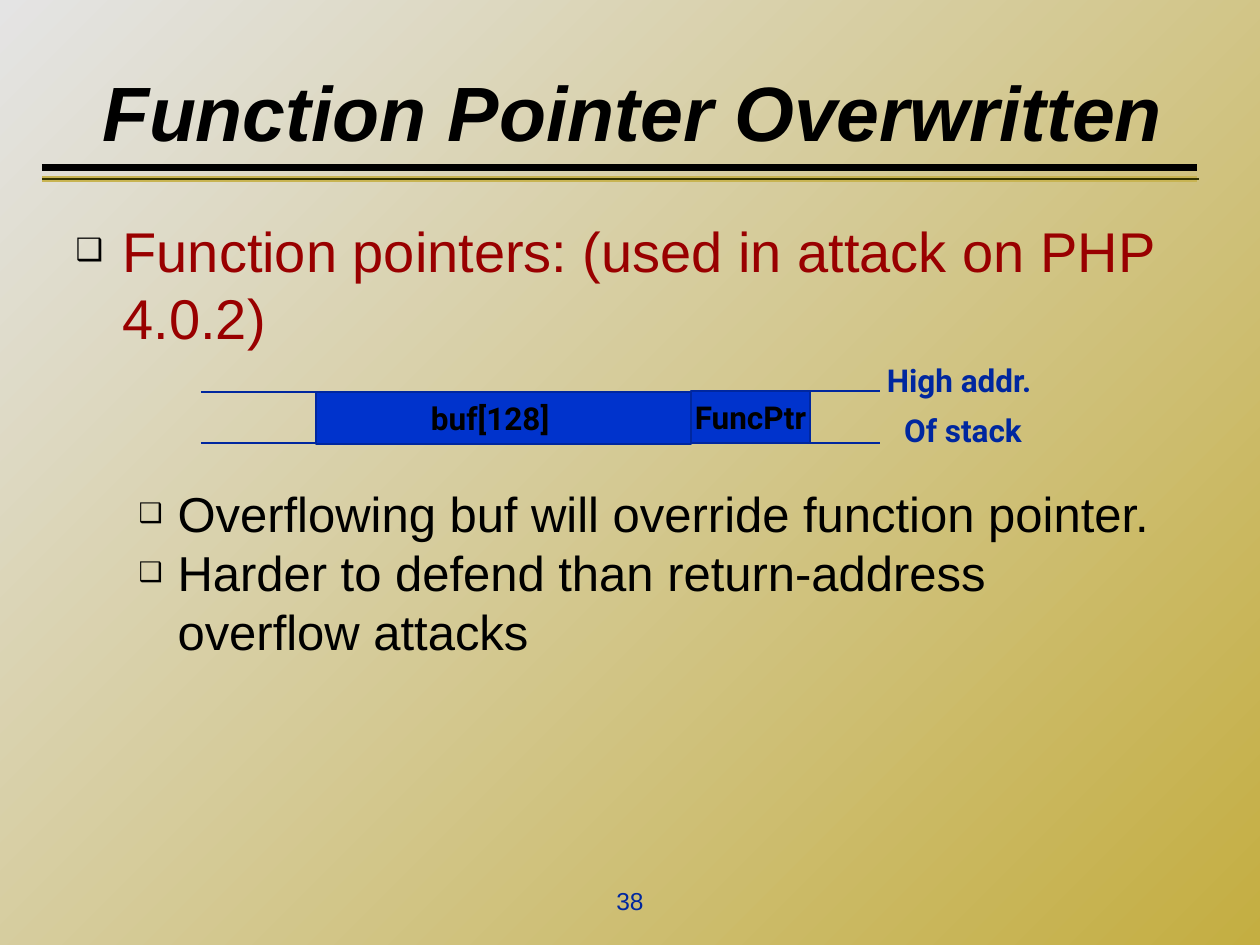
"""Build the slide on overwriting a function pointer."""
import pptx
import pptx.util
import pptx.dml.color
import pptx.enum.shapes
import pptx.enum.text
import pptx.oxml.ns
import lxml.etree

RGBColor = pptx.dml.color.RGBColor
ALIGN = pptx.enum.text.PP_ALIGN
ANCHOR = pptx.enum.text.MSO_ANCHOR
BLACK = RGBColor(0x00, 0x00, 0x00)
SILVER = RGBColor(0xE4, 0xE4, 0xE4)
GOLD = RGBColor(0xC4, 0xAE, 0x42)
RULE_GOLD = RGBColor(0xC8, 0xB4, 0x52)
OLIVE = RGBColor(0x33, 0x33, 0x00)
RED = RGBColor(0x99, 0x00, 0x00)
NAVY = RGBColor(0x00, 0x27, 0x9F)
BLUE = RGBColor(0x00, 0x33, 0xCC)
PX = 914400 // 126


def add_line(left, right, y, color, width):
    line = slide.shapes.add_connector(
        pptx.enum.shapes.MSO_CONNECTOR.STRAIGHT, left * PX, y * PX, right * PX, y * PX)
    line.line.color.rgb = color
    line.line.width = pptx.util.Pt(width)
    lxml.etree.SubElement(line._element.spPr, pptx.oxml.ns.qn("a:effectLst"))


def style(paragraph, name, size, color, bold=False, align=ALIGN.CENTER):
    paragraph.alignment = align
    paragraph.font.name = name
    paragraph.font.size = pptx.util.Pt(size)
    paragraph.font.color.rgb = color
    paragraph.font.bold = bold


presentation = pptx.Presentation()
presentation.slide_width = 1260 * PX
presentation.slide_height = 945 * PX
slide = presentation.slides.add_slide(presentation.slide_layouts[1])

background = slide.background.fill
background.gradient()
background.gradient_angle = 315
for stop, color, position in zip(background.gradient_stops, (SILVER, GOLD), (0, 1)):
    stop.color.rgb = color
    stop.position = position

for left in (102, 42):
    add_line(left, 1197, 179, RULE_GOLD, 3.5)
    add_line(left, 1197, 168, BLACK, 4)
    add_line(left, 1199, 179, OLIVE, 1)

title = slide.shapes.title
title.left, title.top, title.width, title.height = 42 * PX, 73 * PX, 1157 * PX, 95 * PX
frame = title.text_frame
frame.text = "Function Pointer Overwritten"
frame.auto_size = pptx.enum.text.MSO_AUTO_SIZE.NONE
frame.vertical_anchor = ANCHOR.MIDDLE
frame.margin_left, frame.margin_top = 25 * PX, 0
frame.margin_right, frame.margin_bottom = 0, 19 * PX
style(frame.paragraphs[0], "Arial", 44, BLACK, True)
frame.paragraphs[0].font.italic = True

body = slide.placeholders[1]
body.left, body.top, body.width, body.height = 63 * PX, 210 * PX, 1124 * PX, 601 * PX
frame = body.text_frame
frame.auto_size = pptx.enum.text.MSO_AUTO_SIZE.NONE
bullets = [
    ("Function pointers: (used in attack on PHP 4.0.2)", 0, 32, RED, 0, 47, 47),
    ("Overflowing buf will override function pointer.", 1, 28, BLACK, 76, 102, 39),
    ("Harder to defend than return-address overflow attacks", 1, 28, BLACK, 0, 102, 39),
]
for index, (text, level, size, color, before, margin, hanging) in enumerate(bullets):
    paragraph = frame.add_paragraph() if index else frame.paragraphs[0]
    paragraph.text = text
    paragraph.level = level
    paragraph.space_before = pptx.util.Pt(before)
    style(paragraph, "Arial", size, color, align=ALIGN.LEFT)
    properties = paragraph._p.get_or_add_pPr()
    properties.set("marL", str(margin * PX))
    properties.set("indent", str(-hanging * PX))
    bullet = lxml.etree.fromstring(
        '<a:pPr xmlns:a="http://schemas.openxmlformats.org/drawingml/2006/main">'
        '<a:buClr><a:srgbClr val="000000"/></a:buClr>'
        '<a:buSzPct val="55000"/><a:buChar char="❑"/></a:pPr>')
    position = properties.index(properties.find(pptx.oxml.ns.qn("a:defRPr")))
    properties[position:position] = list(bullet)

number = slide.shapes.add_textbox(483 * PX, 880 * PX, 294 * PX, 65 * PX)
number.text_frame.word_wrap = True
number.text_frame.text = "38"
style(number.text_frame.paragraphs[0], "Arial", 14, NAVY)

for left, right, top in ((765, 880, 391), (201, 316, 392)):
    for y in (top, 443):
        add_line(left, right, y, NAVY, 0.75)

label = slide.shapes.add_textbox(864 * PX, 362 * PX, 198 * PX, 93 * PX)
frame = label.text_frame
frame.word_wrap = False
frame.text = "High addr. \nOf stack"
for paragraph in frame.paragraphs:
    style(paragraph, "Roboto", 18, NAVY, True)
    paragraph.line_spacing = 0.8
    paragraph.space_before = pptx.util.Pt(11.2)

cells = [
    ("buf[128]", 316, 392, 375, 115, ALIGN.LEFT),
    ("FuncPtr", 691, 391, 119, 0, ALIGN.CENTER),
]
for text, left, top, width, inset, align in cells:
    cell = slide.shapes.add_shape(
        pptx.enum.shapes.MSO_SHAPE.RECTANGLE, left * PX, top * PX, width * PX, 52 * PX)
    cell.shadow.inherit = False
    cell.fill.solid()
    cell.fill.fore_color.rgb = BLUE
    cell.line.color.rgb = NAVY
    cell.line.width = pptx.util.Pt(0.75)
    frame = cell.text_frame
    frame.text = text
    frame.vertical_anchor = ANCHOR.MIDDLE
    frame.margin_left, frame.margin_right = inset * PX, 0
    style(frame.paragraphs[0], "Roboto", 18, BLACK, True, align)

presentation.save("out.pptx")
